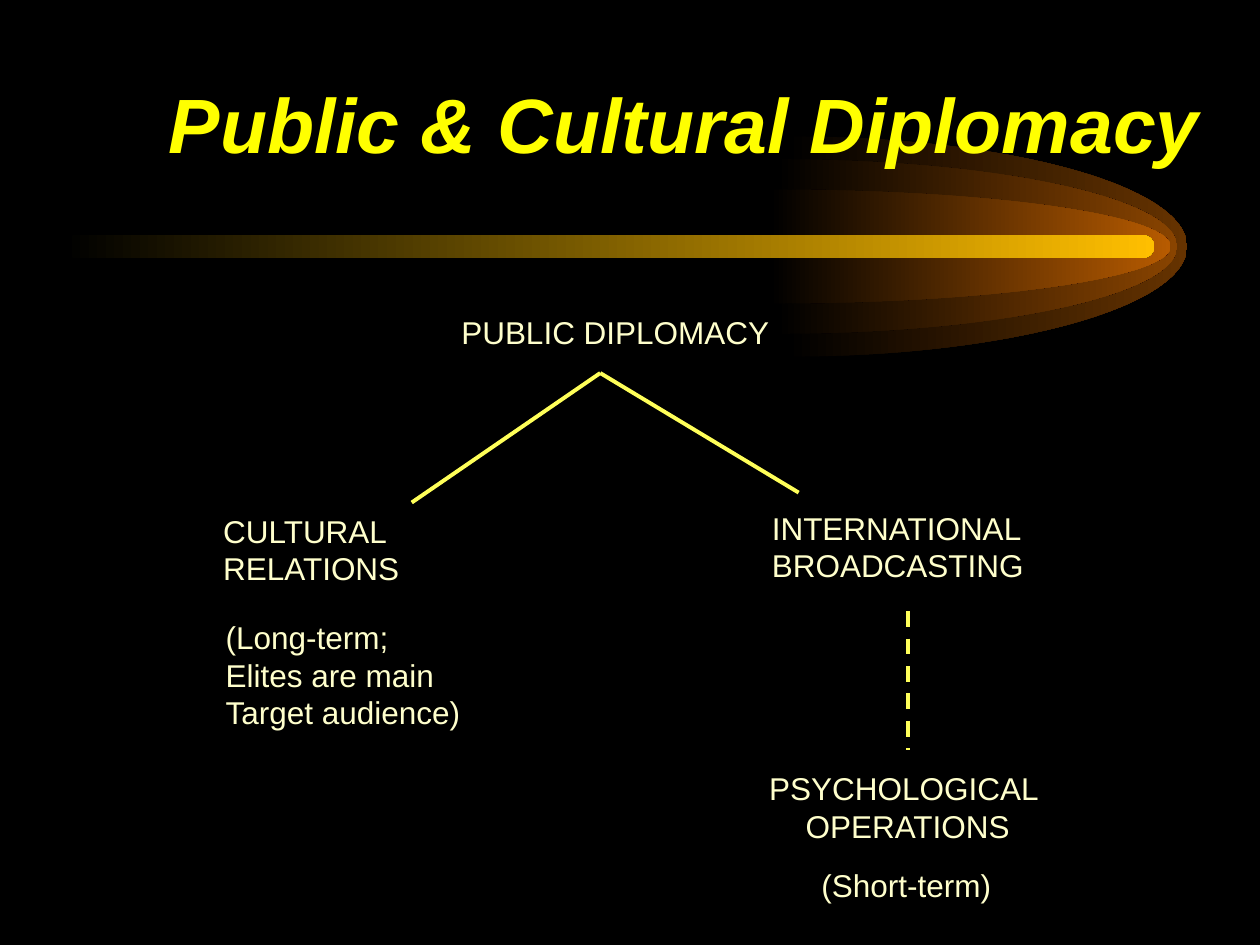
import pptx
import pptx.dml.color
import pptx.enum.dml
import pptx.enum.shapes
import pptx.enum.text
import pptx.oxml.ns
import pptx.util
from dataclasses import dataclass
from lxml import etree

Cm = pptx.util.Cm
Pt = pptx.util.Pt
qn = pptx.oxml.ns.qn
Align = pptx.enum.text.PP_ALIGN
Dash = pptx.enum.dml.MSO_LINE

CREAM = "FFFFCC"
LEMON = "FFFF59"
AXIS = 4.97  # height of the comet's centre line
BEND = 0.55  # handle length that makes a Bézier curve a quarter ellipse


@dataclass
class Label:
    text: str
    left: float
    top: float
    width: float
    align: Align = Align.LEFT


@dataclass
class Link:
    start: tuple[float, float]
    end: tuple[float, float]
    dash: Dash = Dash.SOLID
    hue: str = LEMON
    weight: float = 2.25


@dataclass
class Glow:
    left: float
    half: float
    hue: str


APEX = (12.1, 7.52)
DOT = (18.3, 12.52)
GLOWS = [
    Glow(15.85, 2.22, "663300"),
    Glow(15.65, 1.76, "894400"),
    Glow(15.52, 1.15, "B75B00"),
]
LINKS = [
    Link(APEX, (8.3, 10.13)),
    Link(APEX, (16.1, 9.93)),
    Link(DOT, DOT, hue=CREAM, weight=0.75),
    Link((18.3, 12.32), (18.3, 15.11), Dash.DASH),
]
LABELS = [
    Label("PUBLIC DIPLOMACY", 9.05, 6.19, 6.71),
    Label("CULTURAL\nRELATIONS", 4.25, 10.19, 4.09),
    Label("INTERNATIONAL\nBROADCASTING", 15.31, 10.13, 5.59),
    Label("PSYCHOLOGICAL \nOPERATIONS", 15.24, 15.38, 6.12, Align.CENTER),
    Label("(Long-term;\nElites are main\nTarget audience)", 4.3, 12.33, 5.33),
    Label("(Short-term)", 16.31, 17.33, 3.95),
]


def color(code: str) -> pptx.dml.color.RGBColor:
    return pptx.dml.color.RGBColor.from_string(code)


def shade(shape, code: str) -> None:
    """Fade the shape from black at the left to the colour at the right."""
    shape.shadow.inherit = False
    shape.line.fill.background()
    shape.fill.gradient()
    shape.fill.gradient_angle = 0
    for stop, hue in zip(shape.fill.gradient_stops, ("000000", code)):
        stop.color.rgb = color(hue)


def curve(shape) -> None:
    """Turn each three line segments into one Bézier curve."""
    lines = list(shape._element.iter(qn("a:lnTo")))
    for i in range(0, len(lines), 3):
        bend = etree.Element(qn("a:cubicBezTo"))
        lines[i].addprevious(bend)
        for line in lines[i:i + 3]:
            bend.append(line[0])
            line.getparent().remove(line)


def draw_glow(slide, glow: Glow, reach: float = 8.08) -> None:
    """Draw the right half of an ellipse."""
    units = [(0, -1), (BEND, -1), (1, -BEND), (1, 0), (1, BEND), (BEND, 1), (0, 1)]
    points = [
        (Cm(glow.left + reach * x), Cm(AXIS + glow.half * y)) for x, y in units
    ]
    path = slide.shapes.build_freeform(*points[0])
    path.add_line_segments(points[1:], close=True)
    shape = path.convert_to_shape()
    curve(shape)
    shade(shape, glow.hue)


def draw_bar(slide) -> None:
    high = 0.46
    bar = slide.shapes.add_shape(
        pptx.enum.shapes.MSO_SHAPE.ROUNDED_RECTANGLE,
        Cm(1.27), Cm(AXIS - high / 2), Cm(22), Cm(high),
    )
    bar.adjustments[0] = 0.5
    shade(bar, "FFBF00")


def style(frame, size: int, code: str, align: Align, strong: bool = False) -> None:
    for para in frame.paragraphs:
        para.alignment = align
        for run in para.runs:
            font = run.font
            font.name = "Arial"
            font.size = Pt(size)
            font.color.rgb = color(code)
            font.bold = font.italic = strong


def draw_title(slide, text: str) -> None:
    box = slide.shapes.add_textbox(Cm(0.84), Cm(0.64), Cm(23.62), Cm(3.68))
    frame = box.text_frame
    frame.word_wrap = True
    frame.vertical_anchor = pptx.enum.text.MSO_ANCHOR.MIDDLE
    frame.text = text
    style(frame, 44, "FFFF00", Align.RIGHT, strong=True)


def draw_label(slide, label: Label) -> None:
    rows = label.text.count("\n") + 1
    box = slide.shapes.add_textbox(
        Cm(label.left), Cm(label.top), Cm(label.width), Cm(0.25 + 0.76 * rows)
    )
    frame = box.text_frame
    frame.word_wrap = False
    frame.auto_size = pptx.enum.text.MSO_AUTO_SIZE.SHAPE_TO_FIT_TEXT
    frame.text = label.text
    style(frame, 18, CREAM, label.align)


def draw_link(slide, link: Link) -> None:
    ends = [Cm(n) for n in link.start + link.end]
    line = slide.shapes.add_connector(pptx.enum.shapes.MSO_CONNECTOR.STRAIGHT, *ends)
    line.line.color.rgb = color(link.hue)
    line.line.width = Pt(link.weight)
    line.line.dash_style = link.dash
    etree.SubElement(line._element.spPr, qn("a:effectLst"))


def main() -> None:
    deck = pptx.Presentation()
    deck.slide_width, deck.slide_height = Cm(25.4), Cm(19.05)
    slide = deck.slides.add_slide(deck.slide_layouts[6])
    back = slide.background.fill
    back.solid()
    back.fore_color.rgb = color("000000")

    for glow in GLOWS:
        draw_glow(slide, glow)
    draw_bar(slide)
    draw_title(slide, "Public & Cultural Diplomacy")
    for link in LINKS:
        draw_link(slide, link)
    for label in LABELS:
        draw_label(slide, label)
    deck.save("out.pptx")


if __name__ == "__main__":
    main()
